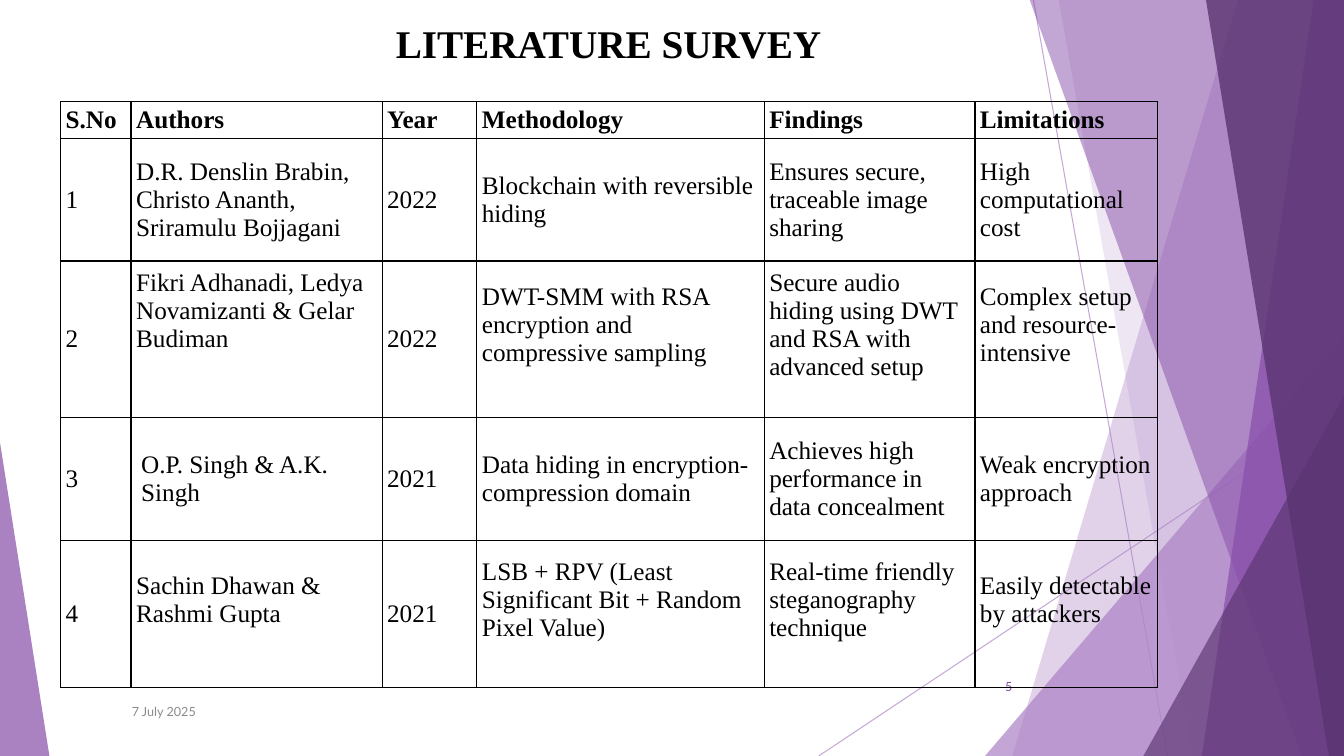
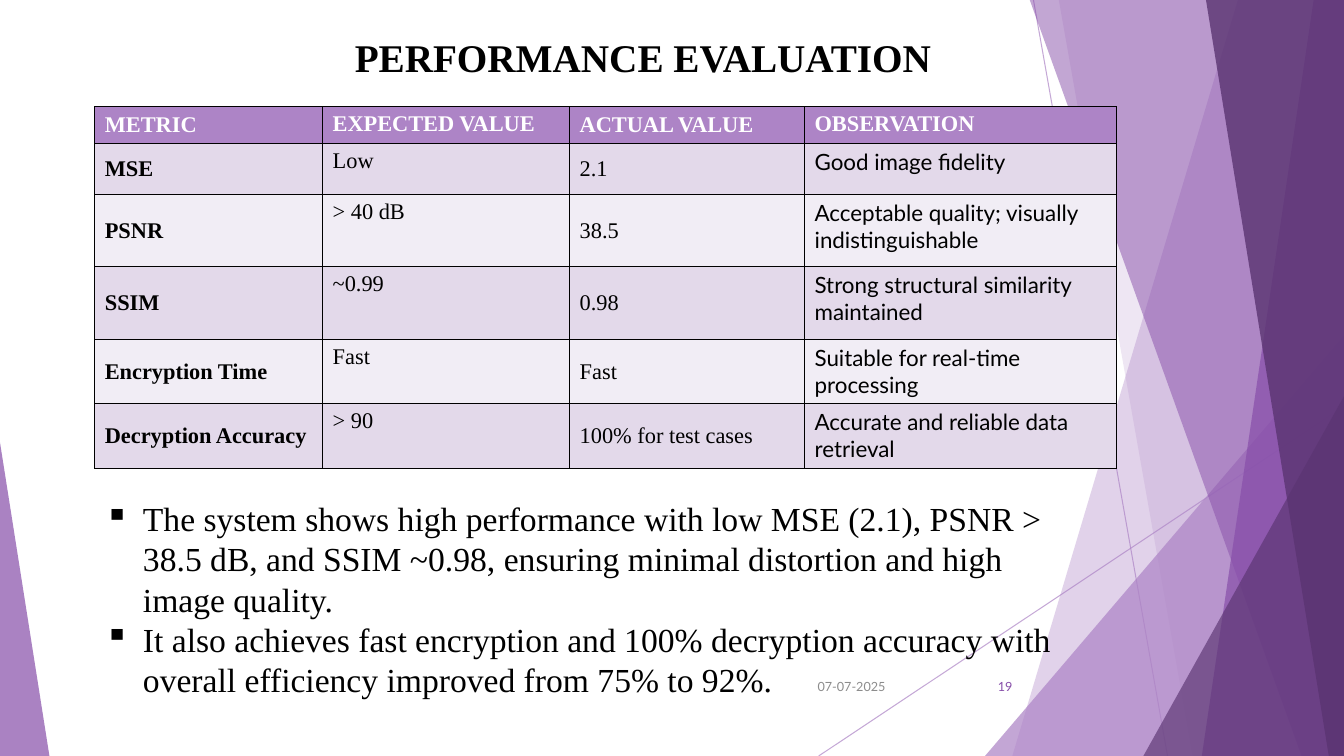
from lxml import etree
from pptx import Presentation
from pptx.dml.color import RGBColor
from pptx.enum.shapes import MSO_CONNECTOR, MSO_SHAPE
from pptx.enum.text import MSO_ANCHOR, PP_ALIGN
from pptx.oxml.ns import qn
from pptx.util import Inches, Pt

TRIANGLE = MSO_SHAPE.ISOSCELES_TRIANGLE
STRAIGHT = MSO_CONNECTOR.STRAIGHT
TOP, MIDDLE = MSO_ANCHOR.TOP, MSO_ANCHOR.MIDDLE
LEFT, CENTER, RIGHT = PP_ALIGN.LEFT, PP_ALIGN.CENTER, PP_ALIGN.RIGHT
COLS, ROWS = 13.33, 7.5
SERIF, SANS = "Times New Roman", "Lato"
BLACK, WHITE, GREY = "000000", "FFFFFF", "8C8C8C"
LILAC, VIOLET, PLUM = "AD84C6", "874EA9", "5A3471"
BANDS = ["F1EDF5", "E3D9EA"]
TIGHT, LOOSE = (0.05, 0.03), (0.1, 0.05)
LINE = 0.28

PAPERS = [
    ["S.No", "Authors", "Year", "Methodology", "Findings", "Limitations"],
    ["1", "D.R. Denslin Brabin, Christo Ananth, Sriramulu Bojjagani", "2022",
     "Blockchain with reversible hiding",
     "Ensures secure, traceable image sharing", "High computational cost"],
    ["2", "Fikri Adhanadi, Ledya Novamizanti & Gelar Budiman", "2022",
     "DWT-SMM with RSA encryption and compressive sampling",
     "Secure audio hiding using DWT and RSA with advanced setup",
     "Complex setup and resource-intensive"],
    ["3", "O.P. Singh & A.K. Singh", "2021",
     "Data hiding in encryption-compression domain",
     "Achieves high performance in data concealment",
     "Weak encryption approach"],
    ["4", "Sachin Dhawan & Rashmi Gupta", "2021",
     "LSB + RPV (Least Significant Bit + Random Pixel Value)",
     "Real-time friendly steganography technique",
     "Easily detectable by attackers"],
]
LIFTS = {2: [0, 2, 0, 1, 1, 1], 4: [0, 1, 0, 1, 1, 1]}

METRICS = [
    ["METRIC", "EXPECTED VALUE", "ACTUAL VALUE", "OBSERVATION"],
    ["MSE", "Low", "2.1", "Good image fidelity"],
    ["PSNR", "> 40 dB", "38.5", "Acceptable quality; visually indistinguishable"],
    ["SSIM", "~0.99", "0.98", "Strong structural similarity maintained"],
    ["Encryption Time", "Fast", "Fast", "Suitable for real-time processing"],
    ["Decryption Accuracy", "> 90", "100% for test cases",
     "Accurate and reliable data retrieval"],
]
POINTS = [
    "The system shows high performance with low MSE (2.1), PSNR > 38.5 dB, "
    "and SSIM ~0.98, ensuring minimal distortion and high image quality.",
    "It also achieves fast encryption and 100% decryption accuracy with "
    "overall efficiency improved from 75% to 92%.",
]


def grid(*steps):
    """Turn grid columns or rows, one inch each, into lengths."""
    return [Inches(step) for step in steps]


def rgb(code):
    """Turn a hex string into a colour."""
    return RGBColor.from_string(code)


def fade(shape, share):
    """Set the opacity of a shape's colour in percent."""
    for tint in shape._element.spPr.iter(qn("a:srgbClr")):
        etree.SubElement(tint, qn("a:alpha")).set("val", str(share * 1000))


def paint(shape, color, share):
    """Fill a shape with a see-through colour and no outline."""
    shape.shadow.inherit = False
    shape.fill.solid()
    shape.fill.fore_color.rgb = rgb(color)
    shape.line.fill.background()
    fade(shape, share)


def ray(slide, start, end):
    """Draw a thin see-through line."""
    line = slide.shapes.add_connector(STRAIGHT, *grid(*start, *end))
    line.line.color.rgb = rgb(LILAC)
    line.line.width = Pt(0.75)
    fade(line, 70)
    etree.SubElement(line._element.spPr, qn("a:effectLst"))


def slab(slide, head, foot, color, share):
    """Draw a slanted band from head and foot to the right edge."""
    pen = slide.shapes.build_freeform(*grid(head, -0.01))
    rest = [(COLS, -0.01), (COLS, ROWS), (foot, ROWS)]
    pen.add_line_segments([grid(*spot) for spot in rest], close=True)
    paint(pen.convert_to_shape(), color, share)


def wedge(slide, left, top, width, tip, color, share):
    """Draw a triangle that stands on the bottom edge."""
    box = grid(left, top, width, ROWS - top)
    shape = slide.shapes.add_shape(TRIANGLE, *box)
    shape.adjustments[0] = tip
    paint(shape, color, share)


def scene(slide):
    """Draw the backdrop that all slides share."""
    ray(slide, (10.25, 0), (11.58, ROWS))
    ray(slide, (COLS, 4.03), (8.12, ROWS))
    slab(slide, 12.28, 10.04, LILAC, 36)
    slab(slide, 10.5, 11.83, LILAC, 20)
    wedge(slide, 9.77, 3.33, 3.56, 1, LILAC, 72)
    slab(slide, 10.21, 12.91, VIOLET, 50)
    slab(slide, 13.03, 11.92, VIOLET, 70)
    slab(slide, 11.96, 13.18, PLUM, 80)
    wedge(slide, 11.34, 3.93, 1.99, 1, PLUM, 66)
    wedge(slide, 0, 4.39, 0.49, 0, VIOLET, 70)


def style(frame, size, color=BLACK, bold=False, font=SERIF, align=LEFT):
    """Format each run of a text frame."""
    for para in frame.paragraphs:
        para.alignment = align
        for run in para.runs:
            run.font.size = Pt(size)
            run.font.name = font
            run.font.bold = bold
            run.font.color.rgb = rgb(color)


def label(slide, box, words, size, anchor=TOP, **look):
    """Add a wrapped text box and return its frame."""
    frame = slide.shapes.add_textbox(*grid(*box)).text_frame
    frame.word_wrap = True
    frame.vertical_anchor = anchor
    frame.text = words
    style(frame, size, **look)
    return frame


def title(slide, box, words, **look):
    """Add a slide title and return its frame."""
    return label(slide, box, words, 28, bold=True, **look)


def footer(slide, left, top, date, page):
    """Add the date and the page number."""
    marks = [((left, top, 1, 0.4), date, GREY),
             ((9.39, 6.61, 0.75, 0.4), page, VIOLET)]
    for box, words, color in marks:
        label(slide, box, words, 9, MIDDLE, color=color, font=SANS, align=RIGHT)


def bullets(slide, box, points):
    """Add a list with square bullets."""
    frame = label(slide, box, "\n".join(points), 24)
    for para in frame.paragraphs:
        props = para._p.get_or_add_pPr()
        props.set("marL", str(Inches(0.38)))
        props.set("indent", str(-Inches(0.38)))
        etree.SubElement(props, qn("a:buChar")).set("char", "▪")


def frame_cell(cell):
    """Give a cell black borders."""
    props = cell._tc.get_or_add_tcPr()
    for side in ("a:lnL", "a:lnR", "a:lnT", "a:lnB"):
        edge = etree.SubElement(props, qn(side), w=str(Pt(1)))
        fill = etree.SubElement(edge, qn("a:solidFill"))
        etree.SubElement(fill, qn("a:srgbClr"), val=BLACK)


def table(slide, left, top, cols, rows, data, dress):
    """Add a bordered table and dress each cell."""
    box = grid(left, top, sum(cols), sum(rows))
    sheet = slide.shapes.add_table(len(rows), len(cols), *box).table
    sheet.first_row = sheet.horz_banding = False
    for col, width in zip(sheet.columns, grid(*cols)):
        col.width = width
    for row, height in zip(sheet.rows, grid(*rows)):
        row.height = height
    for r, line in enumerate(data):
        for c, words in enumerate(line):
            cell = sheet.cell(r, c)
            cell.text_frame.text = words
            frame_cell(cell)
            dress(cell, r, c)


def dress_paper(cell, r, c):
    """Format a cell of the survey table."""
    side, edge = LOOSE if (r, c) == (3, 1) else TIGHT
    lift = LIFTS[r][c] * LINE if r in LIFTS else 0
    cell.margin_left, cell.margin_right = grid(side, side)
    cell.margin_top, cell.margin_bottom = grid(edge, edge + lift)
    cell.vertical_anchor = MIDDLE
    cell.fill.background()
    style(cell.text_frame, 18, bold=r == 0)


def dress_metric(cell, r, c):
    """Format a cell of the results table."""
    head = r == 0
    cell.vertical_anchor = TOP if c % 2 else MIDDLE
    cell.fill.solid()
    cell.fill.fore_color.rgb = rgb(LILAC if head else BANDS[r % 2])
    style(cell.text_frame, 16, WHITE if head else BLACK, head or c == 0,
          SANS if c == 3 and not head else SERIF)


def survey(slide):
    """Build the literature slide."""
    footer(slide, 1.04, 6.86, "7 July 2025", "5")
    title(slide, (2.7, 0.14, 6.67, 0.88), "LITERATURE SURVEY", align=CENTER)
    table(slide, 0.6, 1.01, [0.7, 2.49, 0.94, 2.85, 2.09, 1.81],
          [0.35, 1.22, 1.55, 1.22, 1.46], PAPERS, dress_paper)


def results(slide):
    """Build the evaluation slide."""
    frame = title(slide, (3.42, 0.19, 5.98, 0.62), "PERFORMANCE EVALUATION")
    frame.word_wrap = False
    frame.paragraphs[0].line_spacing = 1.2
    footer(slide, 7.88, 6.61, "07-07-2025", "19")
    bullets(slide, (0.94, 4.89, 9.87, 2.12), POINTS)
    table(slide, 0.94, 1.06, [2.26, 2.45, 2.33, 3.09],
          [0.36, 0.5, 0.72, 0.72, 0.64, 0.64], METRICS, dress_metric)


def main():
    """Build and save the deck."""
    deck = Presentation()
    deck.slide_width, deck.slide_height = grid(COLS, ROWS)
    for build in (survey, results):
        slide = deck.slides.add_slide(deck.slide_layouts[6])
        scene(slide)
        build(slide)
    deck.save("out.pptx")


if __name__ == "__main__":
    main()
